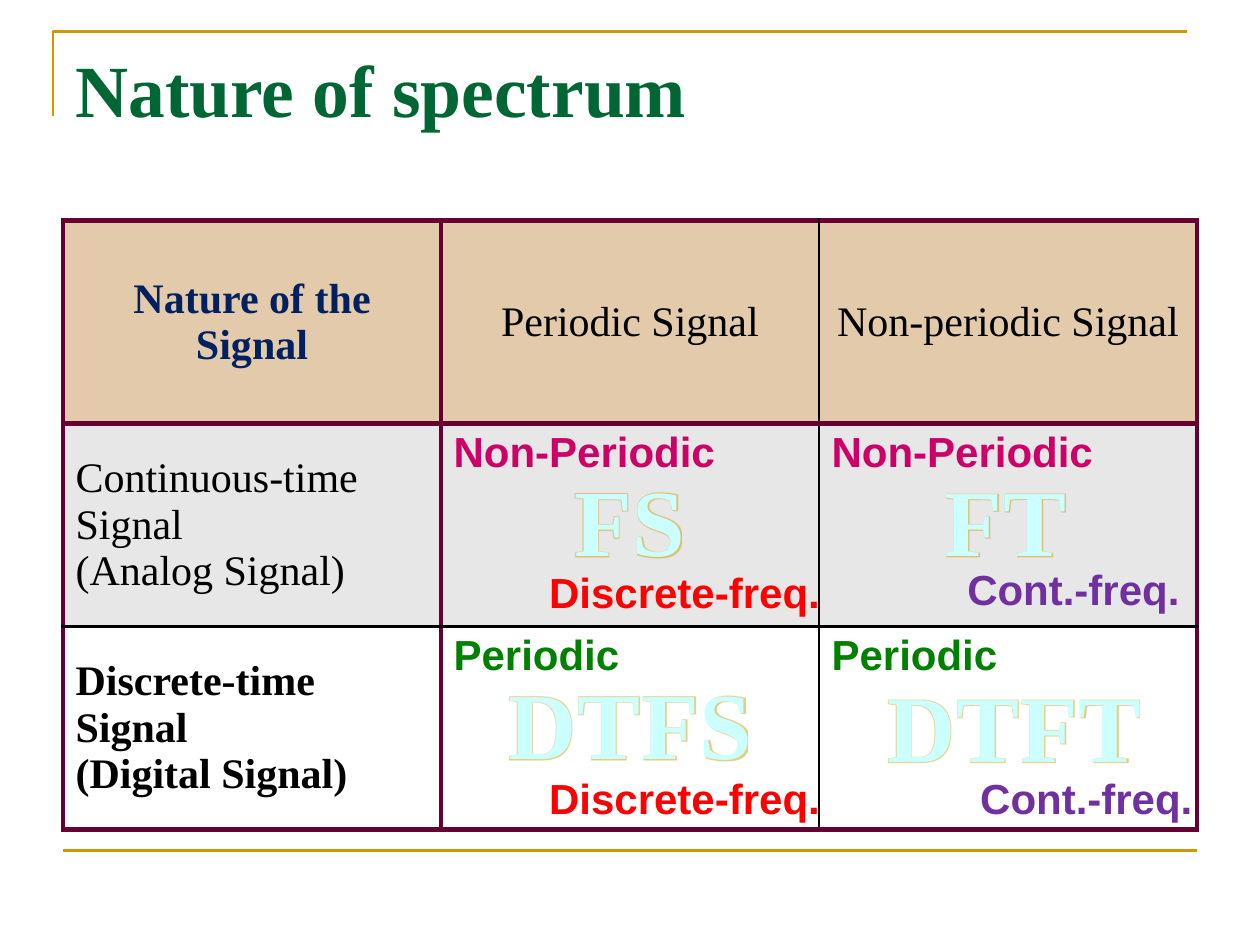
"""Builds the slide that compares the spectrum of four kinds of signal."""
from lxml.etree import SubElement
from pptx import Presentation
from pptx.dml.color import RGBColor
from pptx.enum.shapes import MSO_CONNECTOR
from pptx.enum.text import MSO_ANCHOR, MSO_AUTO_SIZE, PP_ALIGN
from pptx.oxml import parse_xml
from pptx.oxml.ns import nsdecls, qn
from pptx.util import Cm, Pt

COLORS = {
    "gold": "CC9900", "title": "006633", "border": "660033", "black": "000000",
    "navy": "002060", "tan": "E2CAAA", "gray": "E7E7E7", "white": "FFFFFF",
    "pink": "CC0066", "green": "008000", "red": "FF0000", "purple": "7030A0",
    "cyan": "CCFFFF", "outline": "CC0000",
}
SERIF, SANS = "Times New Roman", "Arial"


def write(frame, text, color, align=PP_ALIGN.LEFT, **font_format):
    """Write one paragraph per line of text in a single format."""
    values = {"name": SERIF, "size": Pt(24), "bold": True, **font_format}
    for index, line in enumerate(text.split("\n")):
        paragraph = frame.add_paragraph() if index else frame.paragraphs[0]
        paragraph.alignment = align
        run = paragraph.add_run()
        run.text = line
        run.font.color.rgb = RGBColor.from_string(COLORS[color])
        for key, value in values.items():
            setattr(run.font, key, value)


def add_label(left, top, width, height, wrap=False):
    """Add a text box and return its text frame."""
    frame = slide.shapes.add_textbox(Cm(left), Cm(top), Cm(width), Cm(height)).text_frame
    frame.word_wrap = wrap
    frame.auto_size = MSO_AUTO_SIZE.NONE if wrap else MSO_AUTO_SIZE.SHAPE_TO_FIT_TEXT
    return frame


prs = Presentation()
prs.slide_width, prs.slide_height = Cm(25.4), Cm(19.05)
slide = prs.slides.add_slide(prs.slide_layouts[6])

builder = slide.shapes.build_freeform(Cm(1.07), Cm(2.34))
builder.add_line_segments([(Cm(1.07), Cm(0.64)), (Cm(23.93), Cm(0.64))], close=False)
corner = builder.convert_to_shape()
corner.shadow.inherit = False
corner.fill.background()
footer_rule = slide.shapes.add_connector(
    MSO_CONNECTOR.STRAIGHT, Cm(1.27), Cm(17.15), Cm(24.13), Cm(17.15))
SubElement(footer_rule._element.spPr, qn("a:effectLst"))
for rule in (corner, footer_rule):
    rule.line.color.rgb = RGBColor.from_string(COLORS["gold"])
    rule.line.width = Pt(1.5)
SubElement(footer_rule._element.spPr, qn("a:effectLst")) if footer_rule._element.spPr[-1].tag != qn(
    "a:effectLst") else None

write(add_label(1.27, 0.76, 22.86, 3.18, wrap=True), "Nature of spectrum", "title", size=Pt(42))

plain, sans = {"bold": False}, {"name": SANS}
centered = {"align": PP_ALIGN.CENTER}
signals = [
    ("tan", [("Nature of the Signal", "navy", centered),
             ("Periodic Signal", "black", {**plain, **centered}),
             ("Non-periodic Signal", "black", {**plain, **centered})]),
    ("gray", [("Continuous-time Signal\n(Analog Signal)", "black", plain),
              ("Non-Periodic", "pink", sans), ("Non-Periodic", "pink", sans)]),
    ("white", [("Discrete-time Signal\n(Digital Signal)", "black", {}),
               ("Periodic", "green", sans), ("Periodic", "green", sans)]),
]
table = slide.shapes.add_table(3, 3, Cm(1.27), Cm(4.45), Cm(22.86), Cm(12.27)).table
table.first_row = table.horz_banding = False
for row, (fill, entries) in enumerate(signals):
    table.rows[row].height = Cm(4.09)
    for column, (text, color, text_format) in enumerate(entries):
        cell = table.cell(row, column)
        cell.fill.solid()
        cell.fill.fore_color.rgb = RGBColor.from_string(COLORS[fill])
        heading = row == 0 or column == 0
        cell.vertical_anchor = MSO_ANCHOR.MIDDLE if heading else MSO_ANCHOR.TOP
        write(cell.text_frame, text, color, **text_format)
        edges = {"L": column, "R": column + 1, "T": row, "B": row + 1}
        for order, (side, edge) in enumerate(edges.items()):
            stroke, points = ("black", 1.5) if edge == 2 else ("border", 3)
            cell._tc.get_or_add_tcPr().insert(order, parse_xml(
                f'<a:ln{side} {nsdecls("a")} w="{Pt(points)}"><a:solidFill>'
                f'<a:srgbClr val="{COLORS[stroke]}"/></a:solidFill></a:ln{side}>'))

frequencies = [
    ("Discrete-freq.", "red", 10.82, 11.3, 6.02),
    ("Discrete-freq.", "red", 10.82, 15.44, 6.02),
    ("Cont.-freq.", "purple", 19.25, 11.23, 4.83),
    ("Cont.-freq.", "purple", 19.51, 15.44, 4.83),
]
for text, color, left, top, width in frequencies:
    write(add_label(left, top, width, 1.27), text, color, name=SANS)

transforms = [
    ("FS", 11.3, 9.19, 2.79),
    ("FT", 18.77, 9.19, 3),
    ("DTFS", 9.96, 13.28, 5.51),
    ("DTFT", 17.6, 13.34, 5.72),
]
for text, left, top, width in transforms:
    frame = add_label(left, top, width, 2.57)
    write(frame, text, "cyan", PP_ALIGN.CENTER, size=Pt(54))
    properties = frame.paragraphs[0].runs[0].font._element
    properties.set("spc", "50")
    properties.insert(0, parse_xml(
        f'<a:ln {nsdecls("a")} w="{Pt(0.75)}"><a:solidFill>'
        f'<a:srgbClr val="{COLORS["outline"]}"/></a:solidFill></a:ln>'))
    properties.insert(2, parse_xml(
        f'<a:effectLst {nsdecls("a")}><a:glow rad="{Pt(1.5)}"><a:srgbClr val="{COLORS["gold"]}">'
        '<a:alpha val="50000"/></a:srgbClr></a:glow></a:effectLst>'))

prs.save("out.pptx")
